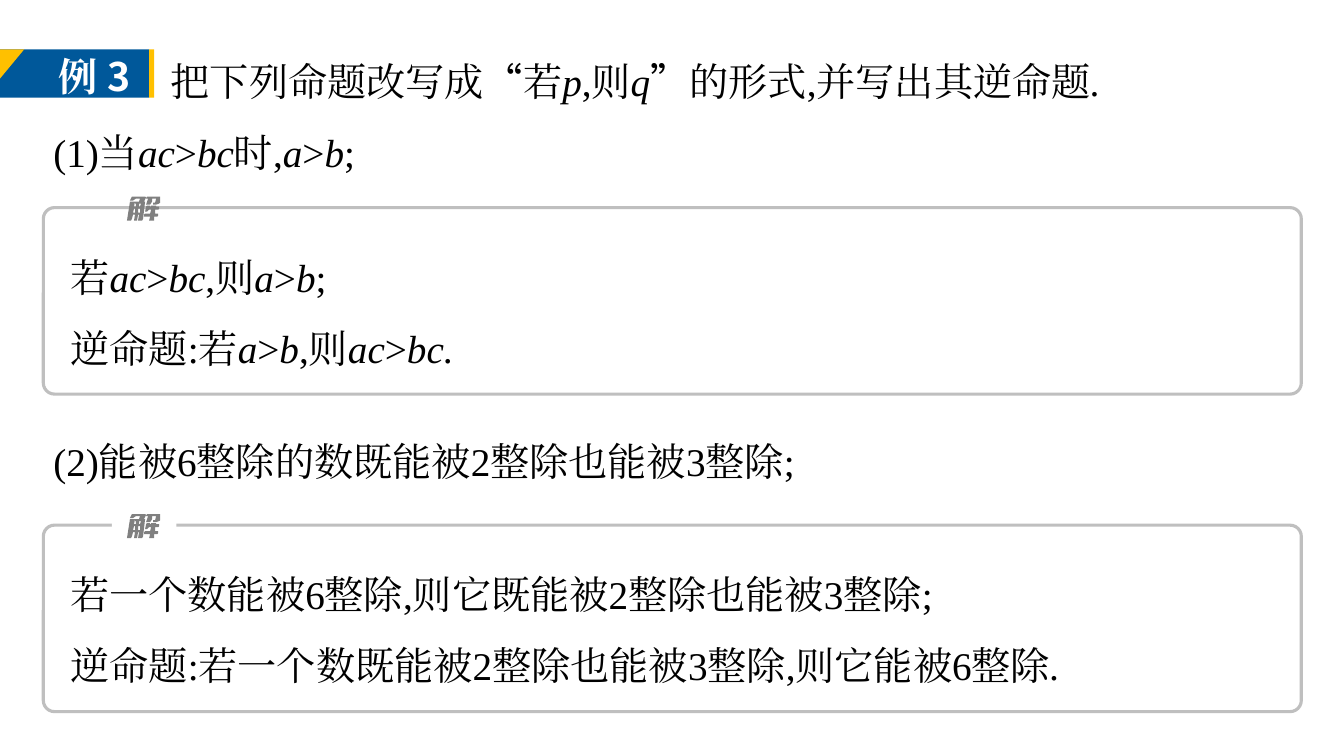
from itertools import groupby

from pptx import Presentation
from pptx import util as u
from pptx.dml.color import RGBColor
from pptx.enum import shapes, text
from pptx.oxml.ns import qn

SERIF, SANS = "Times New Roman", "Noto Sans CJK SC"
BLUE, GOLD, GREY, SILVER = "00589A", "FFC000", "808080", "BFBFBF"
LEFT, WIDTH = 30.96, 898.56
INNER_LEFT, INNER_WIDTH = 43.2, 867.6
GLYPH_UNIT = 0.72

# Outlines of the slanted heading character 解, in glyph units
GLYPH = [
    [(11, 12), (11, 16), (13, 16), (13, 12)],
    [(7, 12), (6, 16), (8, 16), (8, 12)],
    [(25, 9), (29, 9), (29, 10), (32, 10), (32, 12), (31, 13), (28, 13),
     (28, 17), (31, 17), (31, 19), (30, 20), (27, 20), (27, 24), (22, 24),
     (23, 20), (17, 20), (17, 18), (18, 17), (23, 17), (24, 13), (22, 13),
     (20, 15), (18, 15), (19, 10), (20, 9), (23, 9), (23, 10), (24, 10), (24, 9)],
    [(12, 7), (12, 10), (13, 10), (14, 7)],
    [(20, 0), (33, 0), (33, 6), (32, 7), (29, 8), (26, 8), (26, 6), (28, 6),
     (29, 2), (25, 2), (25, 5), (23, 8), (19, 8), (21, 2), (19, 2)],
    [(5, 0), (18, 0), (19, 1), (17, 5), (18, 5), (16, 22), (15, 24), (11, 24),
     (12, 18), (11, 18), (10, 24), (7, 24), (8, 18), (6, 18), (5, 22), (4, 24),
     (0, 24), (3, 5), (8, 5), (7, 10), (9, 10), (9, 7), (8, 7), (8, 5),
     (12, 5), (13, 2), (9, 2), (6, 4), (3, 4)],
]


def rgb(hex_color):
    return RGBColor.from_string(hex_color)


def paint(sp, fill=None, line=None):
    sp.shadow.inherit = False
    if fill:
        sp.fill.solid()
        sp.fill.fore_color.rgb = rgb(fill)
    else:
        sp.fill.background()
    if line:
        sp.line.color.rgb = rgb(line)
        sp.line.width = u.Pt(2.25)
    else:
        sp.line.fill.background()


def add_preset(s, kind, x, y, w, h, **colors):
    sp = s.shapes.add_shape(kind, u.Pt(x), u.Pt(y), u.Pt(w), u.Pt(h))
    paint(sp, **colors)
    return sp


def add_run(p, words, font=SERIF, color="000000", bold=None, italic=None):
    r = p.add_run()
    r.text = words
    f = r.font
    f.size, f.name, f.bold, f.italic = u.Pt(28), font, bold, italic
    f.color.rgb = rgb(color)
    east_asian = r._r.get_or_add_rPr().makeelement(qn("a:ea"), {"typeface": font})
    f._element.find(qn("a:latin")).addnext(east_asian)


def add_box(s, x, y, w, h):
    tf = s.shapes.add_textbox(u.Pt(x), u.Pt(y), u.Pt(w), u.Pt(h)).text_frame
    tf.word_wrap = True
    tf.auto_size = text.MSO_AUTO_SIZE.SHAPE_TO_FIT_TEXT
    return tf


def add_lines(s, lines, x, y, w, h, first_indent=0):
    """Write one paragraph per line; words between asterisks are italic."""
    tf = add_box(s, x, y, w, h)
    for i, line in enumerate(lines):
        p = tf.add_paragraph() if i else tf.paragraphs[0]
        p.line_spacing = 1.5
        if first_indent and i == 0:
            p._p.get_or_add_pPr().set("indent", str(u.Pt(first_indent)))
        for n, part in enumerate(line.split("*")):
            for quote, chars in groupby(part, key=lambda c: c in "“”"):
                add_run(p, "".join(chars), SANS if quote else SERIF,
                        italic=n % 2 == 1)


def add_glyph(s, x, y):
    fb = None
    for contour in GLYPH:
        if fb is None:
            fb = s.shapes.build_freeform(*contour[0], scale=u.Pt(GLYPH_UNIT))
        else:
            fb.move_to(*contour[0])
        fb.add_line_segments(contour[1:], close=True)
    paint(fb.convert_to_shape(u.Pt(x), u.Pt(y)), fill=GREY)


def add_solution(s, y, lines, gap=False):
    """Draw a framed answer; gap clears the frame behind its heading."""
    frame = add_preset(s, shapes.MSO_SHAPE.ROUNDED_RECTANGLE,
                       LEFT, y, WIDTH, 133.2, line=SILVER)
    frame.adjustments[0] = 0.06
    if gap:
        add_preset(s, shapes.MSO_SHAPE.RECTANGLE, 79.92, y - 8.64, 46.08, 17.28,
                   fill="FFFFFF")
    add_glyph(s, 90.72, y - 7.92)
    add_lines(s, lines, INNER_LEFT, y + 12.24, INNER_WIDTH, 103.68)


def add_example_tag(s):
    y, h = 35.28, 34.56
    add_preset(s, shapes.MSO_SHAPE.RECTANGLE, 0, y, 106.56, h, fill=BLUE)
    corner = add_preset(s, shapes.MSO_SHAPE.RIGHT_TRIANGLE, 0, y, 17.28, 20.88,
                        fill=GOLD)
    corner._element.spPr.xfrm.set("flipV", "1")
    p = add_box(s, 34.56, 33.84, 72, 41.04).paragraphs[0]
    add_run(p, "例 ", color="FFFFFF", bold=True)
    add_run(p, "3", SANS, color="FFFFFF", bold=True)
    add_preset(s, shapes.MSO_SHAPE.RECTANGLE, 106.56, y, 3.6, h, fill=GOLD)


def main():
    prs = Presentation()
    prs.slide_width, prs.slide_height = u.Pt(960), u.Pt(540)
    s = prs.slides.add_slide(prs.slide_layouts[6])

    add_lines(s, ["把下列命题改写成“若*p*,则*q*”的形式,并写出其逆命题*.*",
                  "(1)当*ac*>*bc*时,*a*>*b*;"],
              LEFT, 20.88, WIDTH, 103.68, first_indent=84)
    add_example_tag(s)
    add_solution(s, 148.32, ["若*ac*>*bc*,则*a*>*b*;",
                             "逆命题:若*a*>*b*,则*ac*>*bc.*"])
    add_lines(s, ["(2)能被6整除的数既能被2整除也能被3整除;"],
              LEFT, 292.32, WIDTH, 52.56)
    add_solution(s, 375.12, ["若一个数能被6整除,则它既能被2整除也能被3整除;",
                             "逆命题:若一个数既能被2整除也能被3整除,则它能被6整除*.*"],
                 gap=True)
    prs.save("out.pptx")


if __name__ == "__main__":
    main()
